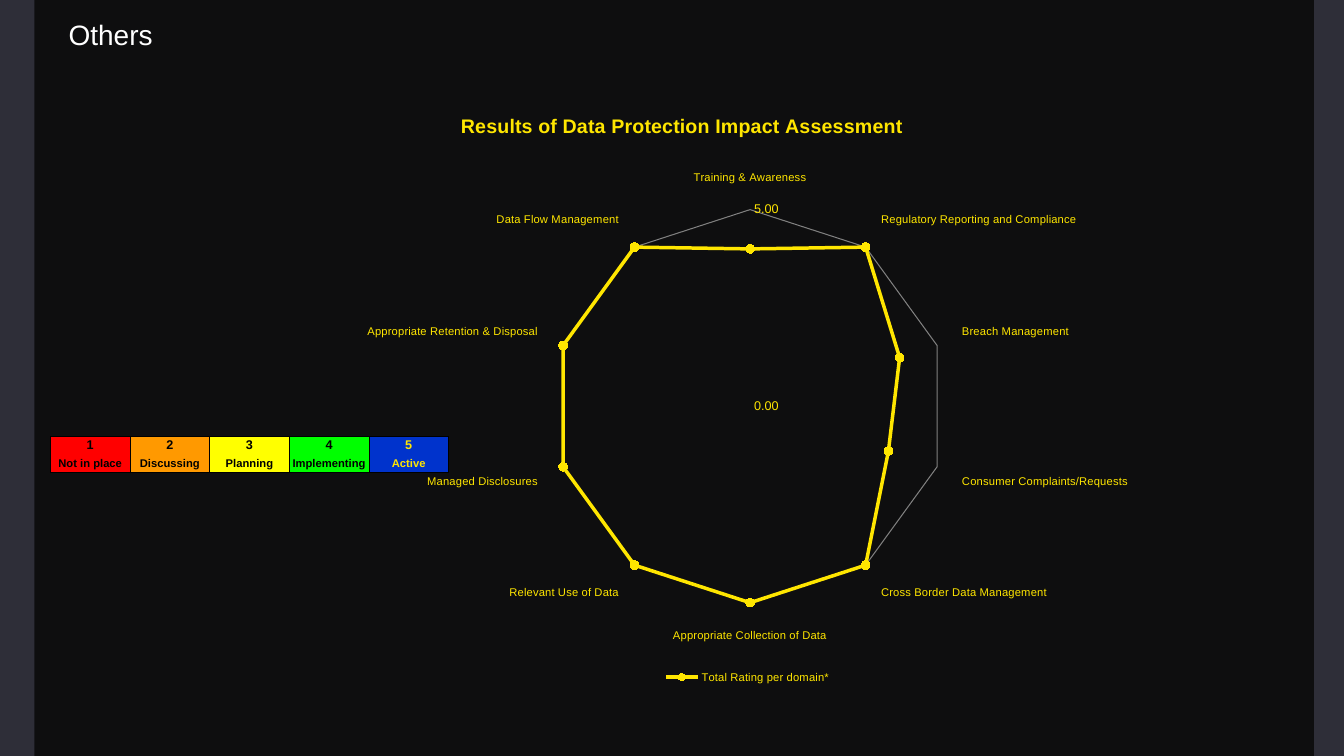
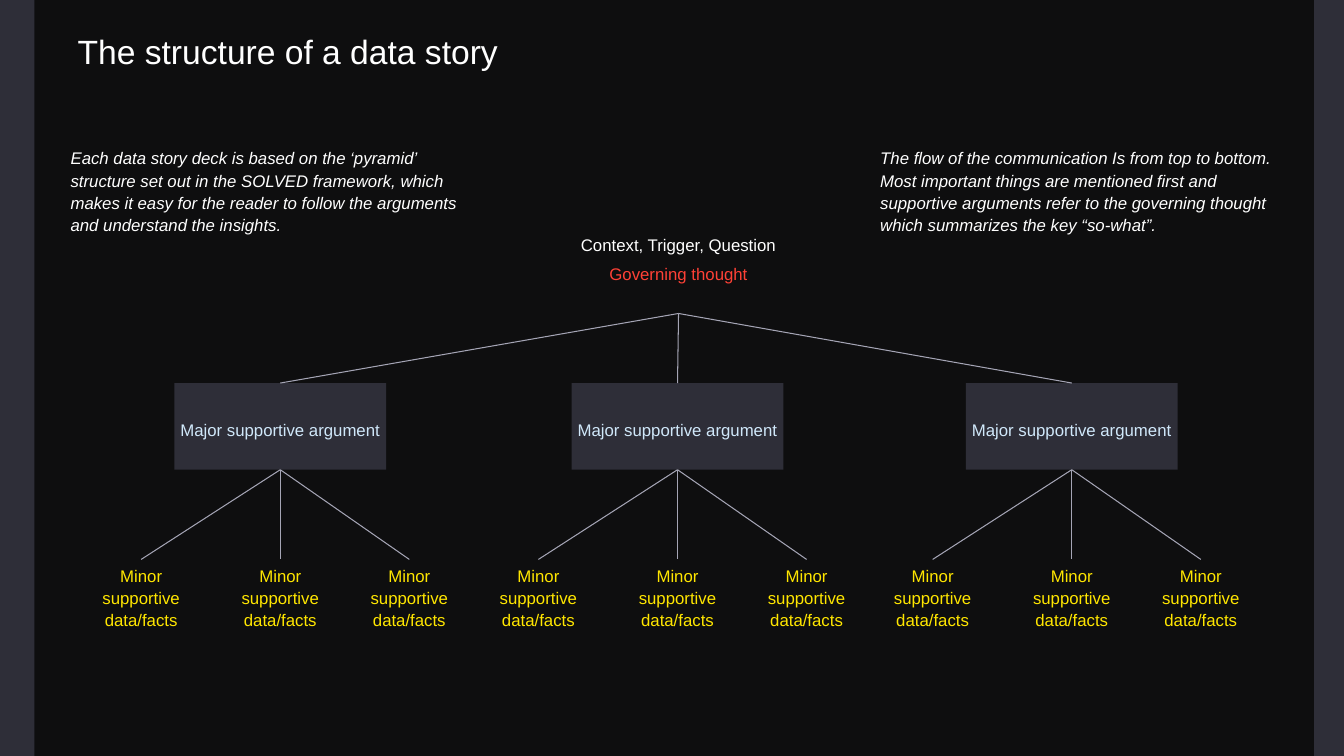
from dataclasses import dataclass

import lxml.etree
import pptx
import pptx.chart.data
import pptx.dml.color
import pptx.enum.chart
import pptx.enum.shapes
import pptx.enum.text
import pptx.oxml.ns
import pptx.util

Inches, Pt = pptx.util.Inches, pptx.util.Pt
ALIGN, ANCHOR = pptx.enum.text.PP_ALIGN, pptx.enum.text.MSO_ANCHOR
qn = pptx.oxml.ns.qn


@dataclass(frozen=True)
class Theme:
    font: str = "Arial"
    edge: str = "2E2E38"
    panel: str = "0D0D0D"
    white: str = "FFFFFF"
    black: str = "000000"
    yellow: str = "FFE600"
    red: str = "FF4136"
    pale_blue: str = "D0E8FA"
    line: str = "A5A5B5"
    grid: str = "808080"
    small_title: int = 20
    title: int = 24
    chart_title: int = 14
    body: int = 12
    scale: int = 9
    label: int = 8


T = Theme()

CHART_TITLE = "Results of Data Protection Impact Assessment"
SERIES = "Total Rating per domain*"
RATINGS = [
    ("Training & Awareness", 4),
    ("Regulatory Reporting and Compliance", 5),
    ("Breach Management", 4),
    ("Consumer Complaints/Requests", 3.7),
    ("Cross Border Data Management", 5),
    ("Appropriate Collection of Data", 5),
    ("Relevant Use of Data", 5),
    ("Managed Disclosures", 5),
    ("Appropriate Retention & Disposal", 5),
    ("Data Flow Management", 5),
]
LEVELS = [  # label, fill, text colour
    ("Not in place", "FF0000", T.black),
    ("Discussing", "FF9900", T.black),
    ("Planning", "FFFF00", T.black),
    ("Implementing", "00FF00", T.black),
    ("Active", "0033CC", T.yellow),
]

NOTES = [  # left edge, text
    (0.7, "Each data story deck is based on the ‘pyramid’ structure set out in the "
          "SOLVED framework, which makes it easy for the reader to follow the "
          "arguments and understand the insights."),
    (8.73, "The flow of the communication Is from top to bottom. Most important "
           "things are mentioned first and supportive arguments refer to the "
           "governing thought which summarizes the key “so-what”."),
]
ROOT = [("Context, Trigger, Question", T.white), ("Governing thought", T.red)]
MAJOR = "Major supportive argument"
MINOR = "Minor supportive data/facts"
ROOT_X = 6.73
MAJOR_XS = [2.78, 6.72, 10.63]
MINOR_OFFSETS = [-1.38, 0, 1.28]


def rgb(color):
    return pptx.dml.color.RGBColor.from_string(color)


def style(font, size, color, bold=False, italic=False):
    font.name, font.size = T.font, Pt(size)
    font.color.rgb = rgb(color)
    font.bold, font.italic = bold, italic


def write(tf, lines, size, align=ALIGN.LEFT, spacing=None, after=0,
          insets=(0, 0.04, 0, 0), anchor=ANCHOR.TOP, **look):
    """Fill a text frame with (text, colour) paragraphs."""
    tf.word_wrap = True
    tf.auto_size = pptx.enum.text.MSO_AUTO_SIZE.NONE
    tf.vertical_anchor = anchor
    tf.margin_left, tf.margin_top, tf.margin_right, tf.margin_bottom = map(Inches, insets)
    for i, (text, color) in enumerate(lines):
        p = tf.add_paragraph() if i else tf.paragraphs[0]
        p.alignment = align
        p.space_after = Pt(after)
        if spacing:
            p.line_spacing = spacing
        r = p.add_run()
        r.text = text
        style(r.font, size, color, **look)


def add_text(slide, box, lines, **options):
    sp = slide.shapes.add_textbox(*map(Inches, box))
    write(sp.text_frame, lines, T.body, after=6, **options)
    return sp


def add_block(slide, box, fill):
    sp = slide.shapes.add_shape(pptx.enum.shapes.MSO_SHAPE.RECTANGLE, *map(Inches, box))
    sp.shadow.inherit = False
    sp.fill.solid()
    sp.fill.fore_color.rgb = rgb(fill)
    sp.line.fill.background()
    return sp


def add_slide(prs, title, box, size, **options):
    slide = prs.slides.add_slide(prs.slide_layouts[5])
    sp = slide.shapes.title
    sp.left, sp.top, sp.width, sp.height = map(Inches, box)
    write(sp.text_frame, [(title, T.white)], size, **options)
    return slide


def dress_master(prs, slide):
    """Give the master the dark frame and the see-through panel."""
    master = prs.slide_master
    master.background.fill.solid()
    master.background.fill.fore_color.rgb = rgb(T.edge)
    panel = add_block(slide, (0.34, 0, 12.69, 7.5), T.panel)
    color = panel.element.xpath("./p:spPr/a:solidFill/a:srgbClr")[0]
    lxml.etree.SubElement(color, qn("a:alpha"), val="94000")
    master.shapes.element.insert(2, panel.element)


def set_layout(parent, index, **values):
    """Give a chart part a manual layout, in fractions of the chart."""
    for old in parent.findall(qn("c:layout")):
        parent.remove(old)
    layout = lxml.etree.Element(qn("c:layout"))
    manual = lxml.etree.SubElement(layout, qn("c:manualLayout"))
    for tag, val in values.items():
        lxml.etree.SubElement(manual, qn("c:" + tag), val=str(val))
    parent.insert(index, layout)


def add_radar(slide):
    data = pptx.chart.data.CategoryChartData()
    data.categories = [name for name, _ in RATINGS]
    data.add_series(SERIES, [value for _, value in RATINGS])
    left, top, width, height = 3.18, 1.03, 8.47, 5.79
    chart = slide.shapes.add_chart(
        pptx.enum.chart.XL_CHART_TYPE.RADAR_MARKERS,
        *map(Inches, (left, top, width, height)), data).chart
    style(chart.font, T.label, T.yellow)

    chart.has_title = True
    r = chart.chart_title.text_frame.paragraphs[0].add_run()
    r.text = CHART_TITLE
    style(r.font, T.chart_title, T.yellow, bold=True)
    chart.has_legend = True
    chart.legend.position = pptx.enum.chart.XL_LEGEND_POSITION.BOTTOM
    chart.legend.include_in_layout = False
    style(chart.legend.font, T.label, T.yellow)

    cat, val = chart.category_axis, chart.value_axis
    cat.has_major_gridlines = False
    style(cat.tick_labels.font, T.label, T.yellow)
    val.minimum_scale, val.maximum_scale, val.major_unit = 0, 5, 5
    val.has_major_gridlines = True
    val.major_gridlines.format.line.color.rgb = rgb(T.grid)
    val.major_gridlines.format.line.width = Pt(0.75)
    val.format.line.fill.background()
    val.tick_labels.number_format = "0.00"
    val.tick_labels.number_format_is_linked = False
    style(val.tick_labels.font, T.scale, T.yellow)
    for axis in (cat, val):
        axis.major_tick_mark = pptx.enum.chart.XL_TICK_MARK.NONE
        axis.minor_tick_mark = pptx.enum.chart.XL_TICK_MARK.NONE

    plot = chart.plots[0]
    plot.vary_by_categories = False
    series = plot.series[0]
    series.smooth = False
    series.format.line.color.rgb = rgb(T.yellow)
    series.format.line.width = Pt(2.5)
    series.marker.style = pptx.enum.chart.XL_MARKER_STYLE.CIRCLE
    series.marker.size = 6
    series.marker.format.fill.solid()
    series.marker.format.fill.fore_color.rgb = rgb(T.yellow)
    series.marker.format.line.color.rgb = rgb(T.yellow)

    center_x, center_y, radius = 7.44, 4.03, 1.95
    set_layout(chart.element.xpath("c:chart/c:title")[0], 1,
               xMode="edge", yMode="edge", x=0.16, y=0.01)
    set_layout(chart.element.xpath("c:chart/c:plotArea")[0], 0,
               layoutTarget="inner", xMode="edge", yMode="edge",
               x=(center_x - radius - left) / width,
               y=(center_y - radius - top) / height,
               w=2 * radius / width, h=2 * radius / height)


def set_borders(cell, sides):
    tc_pr = cell._tc.get_or_add_tcPr()
    for i, side in enumerate("LRTB"):
        ln = lxml.etree.Element(qn("a:ln" + side), w=str(Pt(0.5)))
        if side in sides:
            fill = lxml.etree.SubElement(ln, qn("a:solidFill"))
            lxml.etree.SubElement(fill, qn("a:srgbClr"), val=T.black)
        else:
            lxml.etree.SubElement(ln, qn("a:noFill"))
        tc_pr.insert(i, ln)


def add_scale(slide):
    """Add the table that explains the rating levels."""
    heights = (0.16, 0.2)
    table = slide.shapes.add_table(
        2, len(LEVELS), Inches(0.5), Inches(4.33), Inches(3.95), Inches(sum(heights))).table
    table.first_row = table.horz_banding = False
    for row, height in zip(table.rows, heights):
        row.height = Inches(height)
    for col, (label, fill, color) in enumerate(LEVELS):
        rows = [(str(col + 1), T.scale, "LRT"), (label, T.label, "LRB")]
        for row, (text, size, sides) in enumerate(rows):
            cell = table.cell(row, col)
            cell.fill.solid()
            cell.fill.fore_color.rgb = rgb(fill)
            set_borders(cell, sides)
            cell.margin_left = cell.margin_top = cell.margin_right = Inches(0.01)
            cell.margin_bottom = 0
            cell.vertical_anchor = ANCHOR.MIDDLE
            p = cell.text_frame.paragraphs[0]
            p.alignment = ALIGN.CENTER
            r = p.add_run()
            r.text = text
            style(r.font, size, color, bold=True)


def link(slide, parent, child):
    """Join the bottom of the parent to the top of the child."""
    line = slide.shapes.add_connector(pptx.enum.shapes.MSO_CONNECTOR.STRAIGHT, 0, 0, 0, 0)
    line.begin_connect(parent, 2)
    line.end_connect(child, 0)
    line.line.color.rgb = rgb(T.line)
    line.line.width = Pt(0.75)
    lxml.etree.SubElement(line.element.spPr, qn("a:effectLst"))


def add_pyramid(slide):
    root = add_text(slide, (ROOT_X - 1.1, 2.29, 2.2, 0.82), ROOT, align=ALIGN.CENTER)
    for x in MAJOR_XS:
        major = add_block(slide, (x - 1.05, 3.8, 2.1, 0.86), T.edge)
        write(major.text_frame, [(MAJOR, T.pale_blue)], T.body, align=ALIGN.CENTER,
              spacing=1.1, anchor=ANCHOR.MIDDLE)
        link(slide, root, major)
        for offset in MINOR_OFFSETS:
            minor = add_text(slide, (x + offset - 0.575, 5.55, 1.15, 0.69),
                             [(MINOR, T.yellow)], align=ALIGN.CENTER, spacing=1.1)
            link(slide, major, minor)


def main():
    prs = pptx.Presentation()
    prs.slide_width, prs.slide_height = Inches(13.33), Inches(7.5)

    slide = add_slide(prs, "Others", (0.67, 0.17, 6.15, 0.34), T.small_title,
                      insets=(0.01, 0, 0, 0))
    dress_master(prs, slide)
    add_radar(slide)
    add_scale(slide)

    slide = add_slide(prs, "The structure of a data story", (0.67, 0.32, 8.54, 0.65),
                      T.title, spacing=0.85, insets=(0.1, 0.05, 0.1, 0.05))
    for left, text in NOTES:
        add_text(slide, (left, 1.41, 3.91, 1.62), [(text, T.white)], spacing=1.1, italic=True)
    add_pyramid(slide)

    prs.save("out.pptx")


if __name__ == "__main__":
    main()
